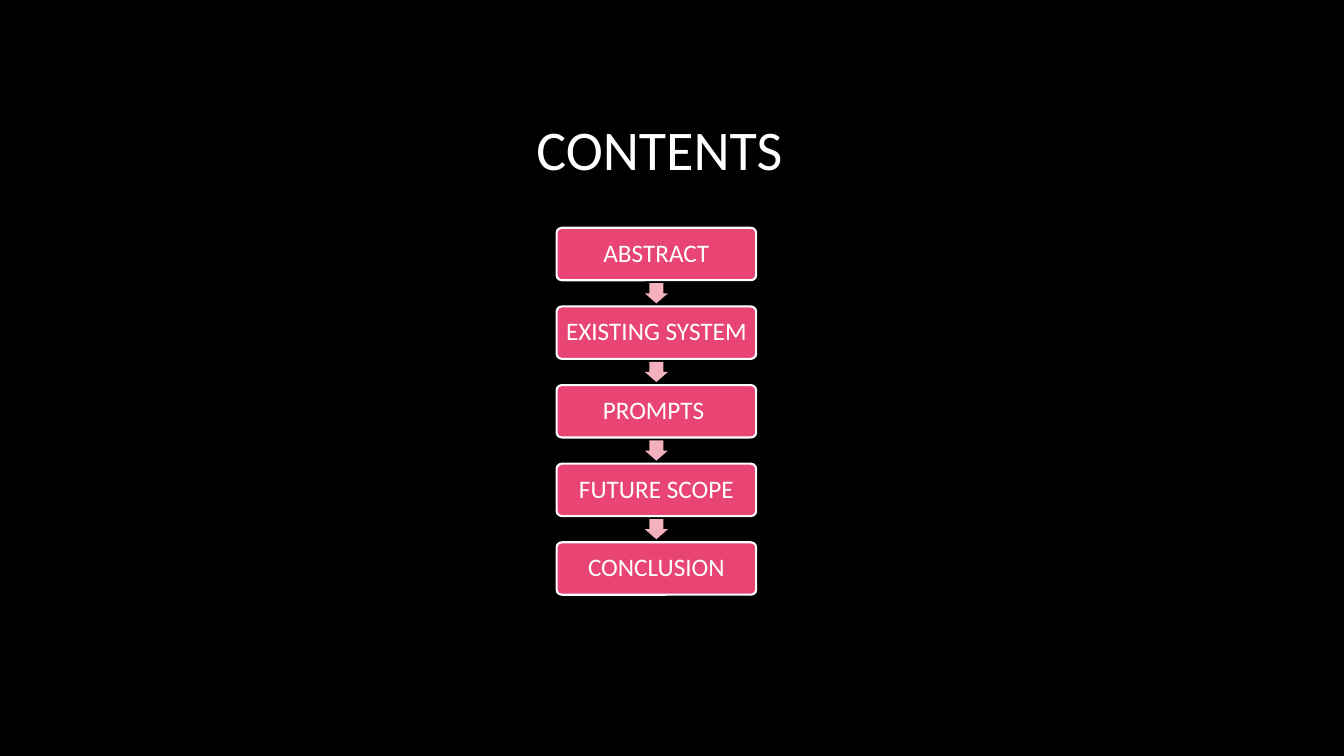
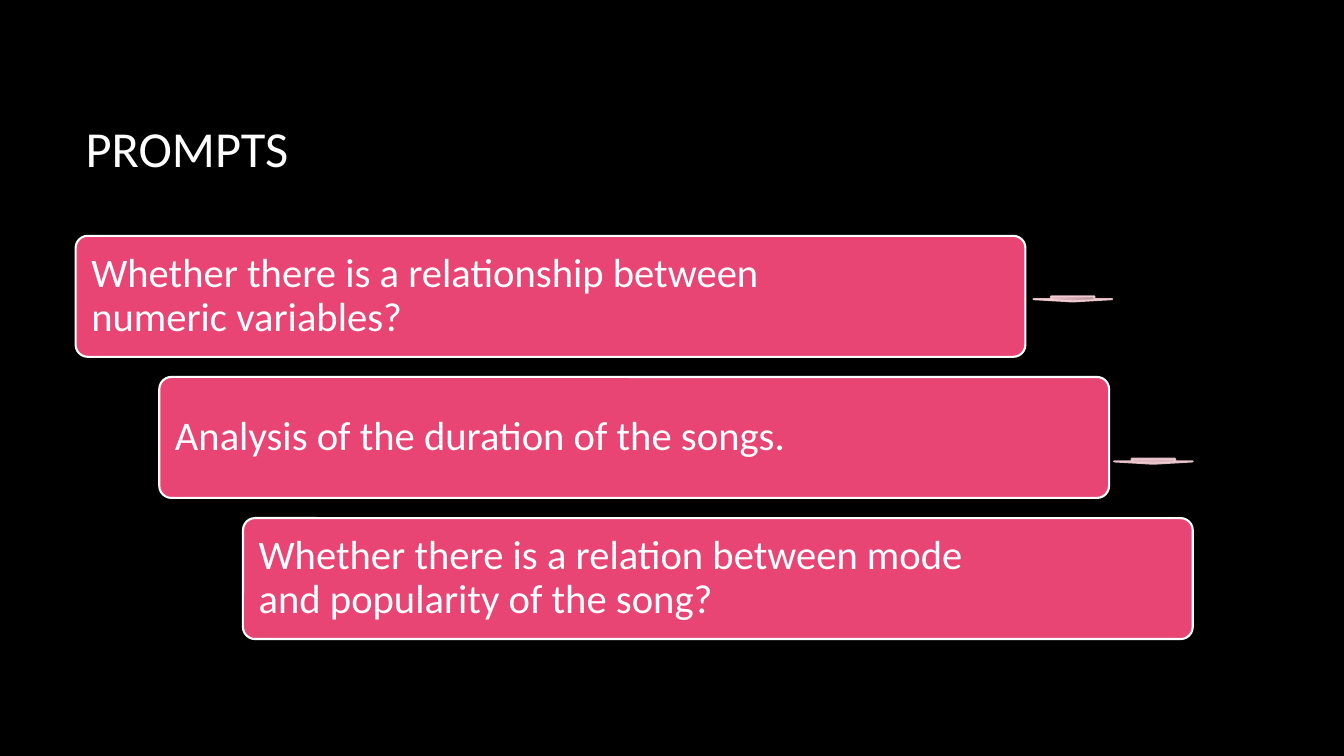
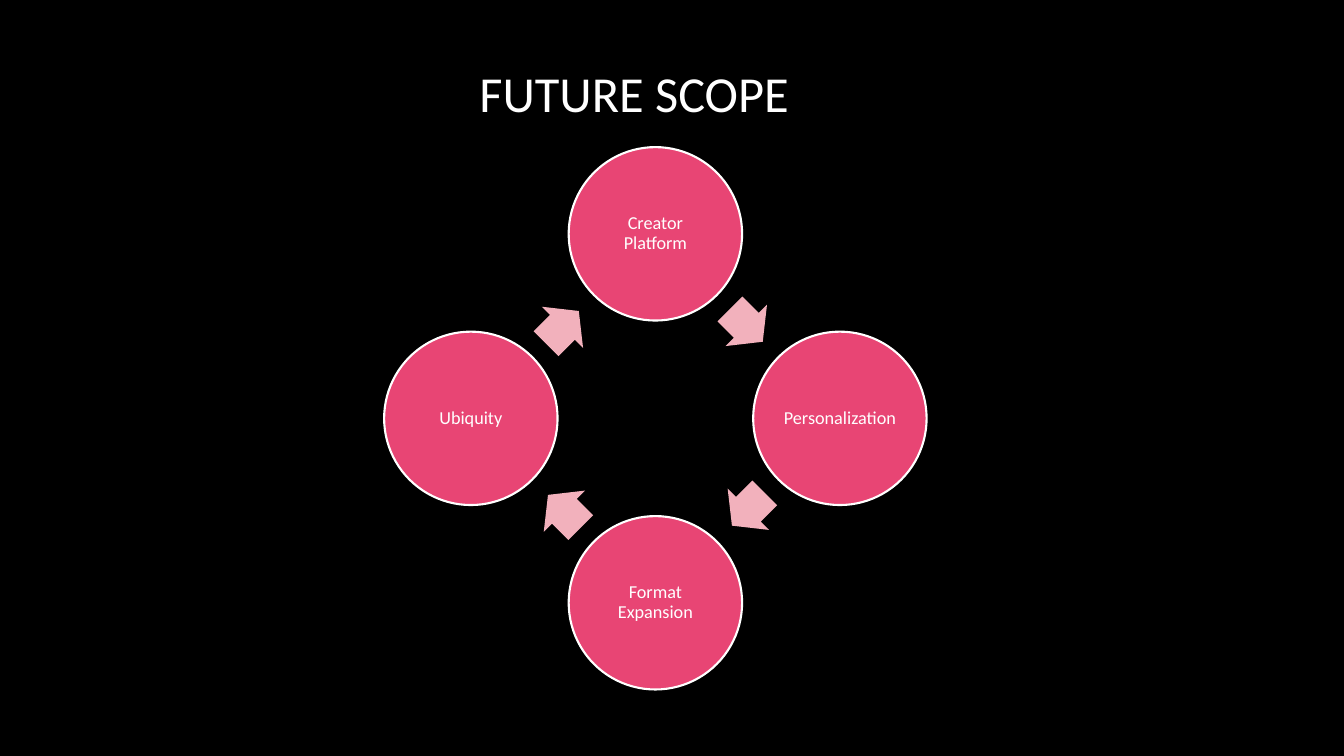
import math
from dataclasses import dataclass

from lxml import etree
from pptx import Presentation
from pptx.dml.color import RGBColor
from pptx.enum.shapes import MSO_SHAPE
from pptx.enum.text import MSO_ANCHOR, PP_ALIGN
from pptx.oxml import parse_xml
from pptx.oxml.ns import nsdecls, qn
from pptx.util import Inches, Pt

ROUNDED, ELLIPSE = MSO_SHAPE.ROUNDED_RECTANGLE, MSO_SHAPE.OVAL
RIGHT_ARROW, DOWN_ARROW = MSO_SHAPE.RIGHT_ARROW, MSO_SHAPE.DOWN_ARROW
LEFT, CENTER = PP_ALIGN.LEFT, PP_ALIGN.CENTER
MIDDLE = MSO_ANCHOR.MIDDLE


@dataclass(frozen=True)
class Theme:
    font: str = "Calibri"
    background: RGBColor = RGBColor(0x00, 0x00, 0x00)
    text: RGBColor = RGBColor(0xFF, 0xFF, 0xFF)
    node: RGBColor = RGBColor(0xE8, 0x45, 0x74)
    arrow: RGBColor = RGBColor(0xF2, 0xB1, 0xBC)
    pale_arrow: RGBColor = RGBColor(0xF6, 0xCF, 0xD6)
    gradient: tuple = ((0, "94797D"), (50, "D2ACB2"), (100, "F9CCD4"))
    outline: float = 1.5
    contents_title_size: int = 40
    title_size: int = 36
    step_size: int = 18
    prompt_size: int = 29
    cycle_size: int = 13


theme = Theme()


def write_text(shape, text, size, alignment, margins=(0.1, 0.05, 0.1, 0.05), spacing=None):
    """Fill a text frame with one run; margins are left, top, right, bottom."""
    frame = shape.text_frame
    frame.word_wrap = True
    frame.vertical_anchor = MIDDLE
    (frame.margin_left, frame.margin_top,
     frame.margin_right, frame.margin_bottom) = map(Inches, margins)
    paragraph = frame.paragraphs[0]
    paragraph.alignment = alignment
    paragraph.line_spacing = spacing
    run = paragraph.add_run()
    run.text = text
    run.font.name = theme.font
    run.font.size = Pt(size)
    run.font.color.rgb = theme.text


def add_figure(slide, kind, box, fill, line=None, adjustments=(), rotation=0):
    """Add a flat preset shape; box is left, top, width, height in inches."""
    shape = slide.shapes.add_shape(kind, *map(Inches, box))
    shape.shadow.inherit = False
    shape.rotation = rotation
    for index, value in enumerate(adjustments):
        shape.adjustments[index] = value
    shape.fill.solid()
    shape.fill.fore_color.rgb = fill
    if line is None:
        shape.line.fill.background()
    else:
        shape.line.color.rgb = line
        shape.line.width = Pt(theme.outline)
    return shape


presentation = Presentation()
presentation.slide_width, presentation.slide_height = Inches(13.33), Inches(7.5)

# Shared black background
master_fill = presentation.slide_master.background.fill
master_fill.solid()
master_fill.fore_color.rgb = theme.background

# Titled slides: text, size, alignment, top, height, left margin
titles = [
    ("CONTENTS", theme.contents_title_size, CENTER, 0.67, 1.59, 0.6),
    ("PROMPTS", theme.title_size, LEFT, 0.67, 1.59, 0.1),
    ("FUTURE SCOPE", theme.title_size, CENTER, 0.37, 1.1, 0.1),
]
slides = []
for text, size, alignment, top, height, margin_left in titles:
    slide = presentation.slides.add_slide(presentation.slide_layouts[5])
    title = slide.shapes.title
    title.left, title.top = Inches(0.75), Inches(top)
    title.width, title.height = Inches(11.08), Inches(height)
    write_text(title, text, size, alignment, (margin_left, 0.05, 0.1, 0.05))
    slides.append(slide)
contents_slide, prompts_slide, future_slide = slides

# Contents: vertical list of steps with arrows in the gaps
steps = ["ABSTRACT", "EXISTING SYSTEM", "PROMPTS ", "FUTURE SCOPE", "CONCLUSION"]
step_left, step_top, step_width, step_height, step_pitch = 5.52, 2.26, 1.98, 0.52, 0.78
arrow_width, arrow_height = 0.2, 0.23
for index, text in enumerate(steps):
    top = step_top + index * step_pitch
    if index:
        gap_middle = top - (step_pitch - step_height) / 2
        add_figure(contents_slide, RIGHT_ARROW,
                   (step_left + (step_width - arrow_width) / 2,
                    gap_middle - arrow_height / 2, arrow_width, arrow_height),
                   theme.arrow, adjustments=(0.6, 0.5), rotation=90)
    step = add_figure(contents_slide, ROUNDED, (step_left, top, step_width, step_height),
                      theme.node, theme.text, (0.1,))
    write_text(step, text, theme.step_size, CENTER, (0.05, 0.07, 0.05, 0.07), 0.9)

# Prompts: staircase of bars
prompts = [
    "Whether there is a relationship between numeric variables?",
    "Analysis of the duration of the songs.",
    "Whether there is a relation between mode and popularity of the song?",
]
for index, text in enumerate(prompts):
    bar = add_figure(prompts_slide, ROUNDED,
                     (0.75 + index * 0.83, 2.34 + index * 1.4, 9.42, 1.2),
                     theme.node, theme.text, (0.1,))
    write_text(bar, text, theme.prompt_size, LEFT, (0.12, 0.12, 1.73, 0.12), 0.9)

# Prompts: flat translucent arrows beside the first two bars
flat_arrows = []
for left, top in [(10.25, 2.94), (11.05, 4.55)]:
    arrow = add_figure(prompts_slide, DOWN_ARROW, (left, top, 0.78, 0.05),
                       theme.pale_arrow, theme.pale_arrow, (0.55, 0.45))
    for color in arrow.element.spPr.iter(qn("a:srgbClr")):
        etree.SubElement(color, qn("a:alpha")).set("val", "90000")
    flat_arrows.append(arrow)

# The first flat arrow has a three-stop gradient
stops = "".join(f'<a:gs pos="{position * 1000}"><a:srgbClr val="{color}"/></a:gs>'
                for position, color in theme.gradient)
gradient = parse_xml(f'<a:gradFill {nsdecls("a")} rotWithShape="1"><a:gsLst>{stops}</a:gsLst>'
                     '<a:lin ang="8100000" scaled="0"/></a:gradFill>')
properties = flat_arrows[0].element.spPr
properties.replace(properties.find(qn("a:solidFill")), gradient)

# Future scope: clockwise cycle, starting at the top
topics = ["Creator Platform", "Personalization", "Format Expansion", "Ubiquity"]
center_x, center_y = 6.5, 4.15
topic_radius, arrow_radius, diameter = 1.83, 1.29, 1.72
arrow_width, arrow_height = 0.46, 0.58
for index, text in enumerate(topics):
    turn = index * 90
    angle = math.radians(turn - 90)
    topic = add_figure(future_slide, ELLIPSE,
                       (center_x + topic_radius * math.cos(angle) - diameter / 2,
                        center_y + topic_radius * math.sin(angle) - diameter / 2,
                        diameter, diameter), theme.node, theme.text)
    write_text(topic, text, theme.cycle_size, CENTER, (0.02,) * 4, 0.9)
    angle = math.radians(turn - 45.6)
    add_figure(future_slide, RIGHT_ARROW,
               (center_x + arrow_radius * math.cos(angle) - arrow_width / 2,
                center_y + arrow_radius * math.sin(angle) - arrow_height / 2,
                arrow_width, arrow_height),
               theme.arrow, adjustments=(0.6, 0.5), rotation=turn + 45)

presentation.save("out.pptx")
